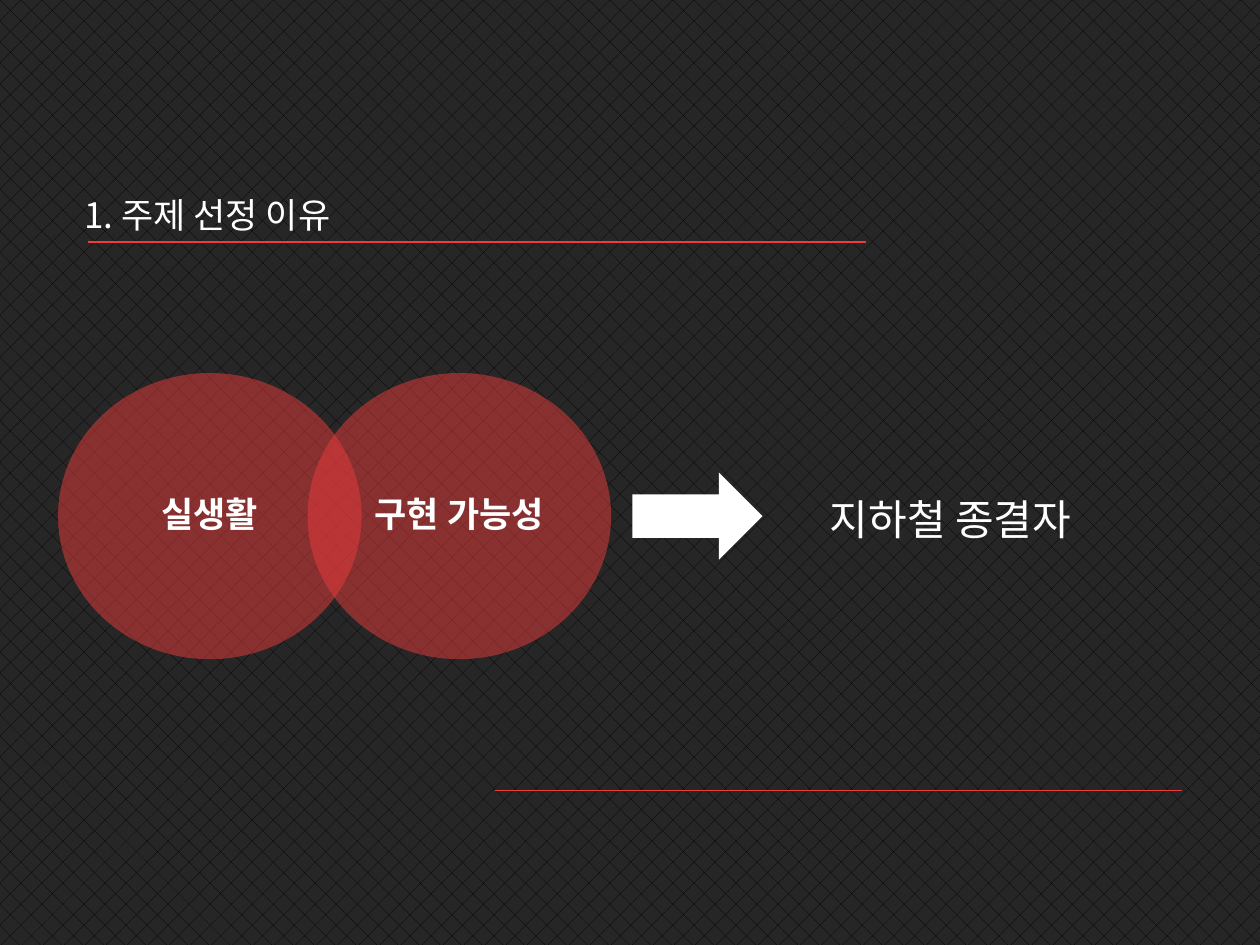
from lxml.etree import SubElement
from pptx import Presentation
from pptx.dml.color import RGBColor
from pptx.enum.dml import MSO_PATTERN_TYPE as Pattern
from pptx.enum.shapes import MSO_CONNECTOR as Connector, MSO_SHAPE as Shape
from pptx.enum.text import MSO_ANCHOR as Anchor, MSO_AUTO_SIZE as AutoSize, PP_ALIGN as Align
from pptx.oxml.ns import qn
from pptx.util import Cm, Pt

BLACK = RGBColor(0x00, 0x00, 0x00)
CHARCOAL = RGBColor(0x26, 0x26, 0x26)
RED = RGBColor(0xEC, 0x3C, 0x3C)
WHITE = RGBColor(0xFF, 0xFF, 0xFF)
KOREAN_FONT = "Noto Sans CJK KR"
LATIN_FONT = "Noto Sans"


def apply_format(target, values):
    for name, value in values.items():
        setattr(target, name, value)


class SlideBuilder:
    """Holds the slide and its common style."""

    font = {"name": KOREAN_FONT, "size": Pt(20), "bold": False}
    circle_font = {"name": LATIN_FONT, "bold": True}
    circle_frame = {
        "word_wrap": True, "vertical_anchor": Anchor.MIDDLE,
        "margin_left": Cm(0.3), "margin_right": Cm(0.3),
        "margin_top": Cm(0.15), "margin_bottom": Cm(0.15),
    }
    circle_paragraph = {"alignment": Align.CENTER, "line_spacing": 0.9, "space_before": Pt(6)}

    def __init__(self, slide):
        self.slide = slide

    def background(self):
        fill = self.slide.background.fill
        fill.patterned()
        fill.pattern = Pattern.DIAGONAL_BRICK
        fill.fore_color.rgb = BLACK
        fill.back_color.rgb = CHARCOAL

    def rule(self, left, right, top):
        line = self.slide.shapes.add_connector(
            Connector.STRAIGHT, Cm(left), Cm(top), Cm(right), Cm(top))
        line.line.color.rgb = RED
        line.line.width = Pt(0.75)
        SubElement(line._element.spPr, qn("a:effectLst"))

    def fill_text(self, frame, text, paragraph_values, font_values):
        paragraph = frame.paragraphs[0]
        apply_format(paragraph, paragraph_values)
        run = paragraph.add_run()
        run.text = text
        apply_format(run.font, {**self.font, **font_values})
        run.font.color.rgb = WHITE
        SubElement(run._r.get_or_add_rPr(), qn("a:ea"), typeface=KOREAN_FONT)

    def text_box(self, box, text, paragraph_values, **font_values):
        frame = self.slide.shapes.add_textbox(*map(Cm, box)).text_frame
        apply_format(frame, {"word_wrap": True, "auto_size": AutoSize.SHAPE_TO_FIT_TEXT})
        self.fill_text(frame, text, paragraph_values, font_values)

    def shape(self, kind, box, color):
        shape = self.slide.shapes.add_shape(kind, *map(Cm, box))
        shape.shadow.inherit = False
        shape.fill.solid()
        shape.fill.fore_color.rgb = color
        shape.line.fill.background()
        return shape

    def circle(self, box, text):
        circle = self.shape(Shape.OVAL, box, RED)
        color = circle._element.spPr.find(f"{qn('a:solidFill')}/{qn('a:srgbClr')}")
        SubElement(color, qn("a:alpha"), val="50000")
        apply_format(circle.text_frame, self.circle_frame)
        self.fill_text(circle.text_frame, text, self.circle_paragraph, self.circle_font)


def main():
    presentation = Presentation()
    presentation.slide_width, presentation.slide_height = Cm(25.4), Cm(19.05)
    builder = SlideBuilder(presentation.slides.add_slide(presentation.slide_layouts[6]))
    builder.background()

    # Rules and heading
    builder.rule(1.78, 17.45, 4.88)
    builder.rule(9.98, 23.83, 15.93)
    builder.text_box((1.45, 3.78, 15.65, 1.12), "1. 주제 선정 이유", {"space_before": Pt(4)})

    # Overlapping reasons
    for index, reason in enumerate(("실생활", "구현 가능성")):
        builder.circle((1.17 + index * 5.03, 7.52, 6.12, 5.77), reason)

    # Resulting topic
    builder.shape(Shape.RIGHT_ARROW, (12.75, 9.53, 2.62, 1.75), WHITE)
    builder.text_box((16.48, 9.75, 8, 1.27), "지하철 종결자",
                     {"alignment": Align.JUSTIFY, "line_spacing": 1.08, "space_after": Pt(8)},
                     size=Pt(24))

    presentation.save("out.pptx")


if __name__ == "__main__":
    main()
